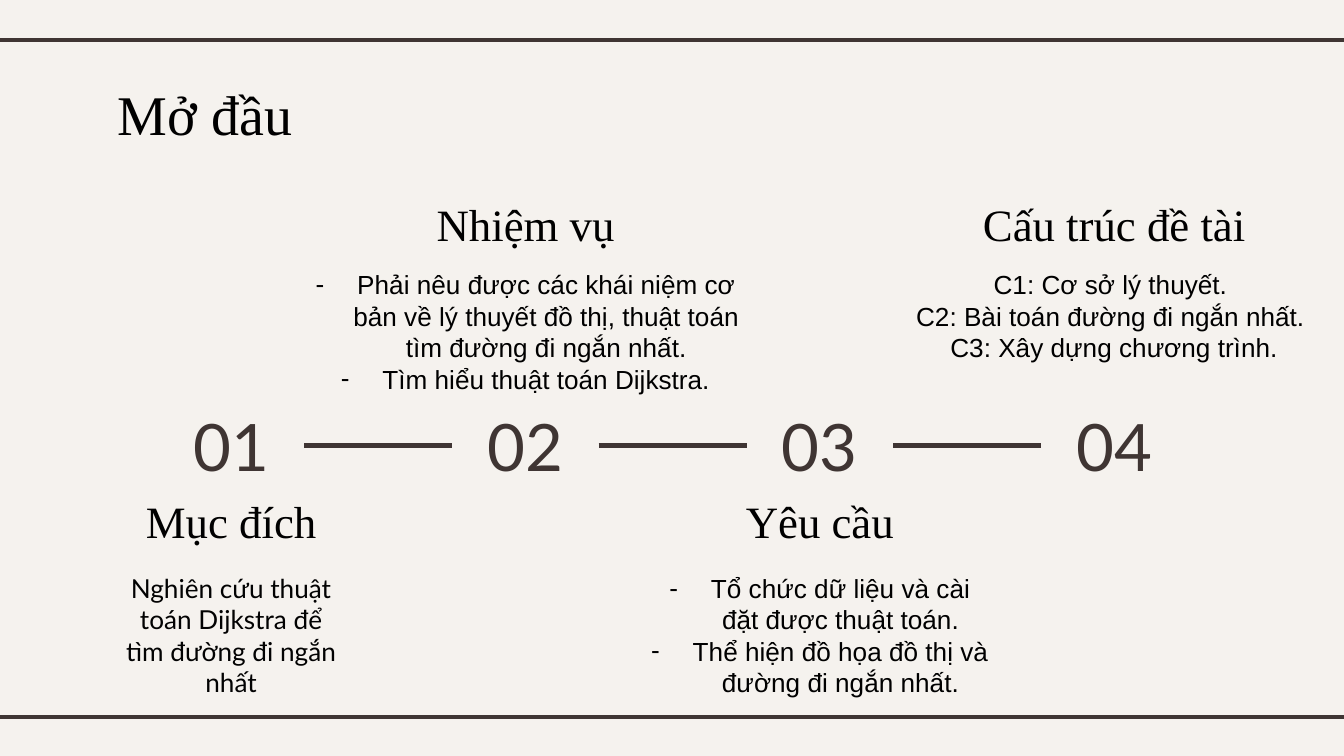
from lxml import etree
from pptx import Presentation
from pptx import util as u
from pptx.dml.color import RGBColor
from pptx.enum import shapes, text
from pptx.oxml.ns import qn

W = 10
H = W * 9 / 16
INK, BLACK, PAPER = "3F3533", "000000", "F5F2EE"
SERIF, SANS, LATO = "Times New Roman", "Arial", "Lato"
FIRST, STEP = 1.72, 2.19  # centre of the first column, distance between columns
NUMBER_W, NUMBER_TOP, NUMBER_H = 1.09, 2.95, 0.73
HEAD_H, BODY_H = 0.39, 0.63
UPPER, LOWER = (1.47, 1.9), (3.68, 4.16)  # tops of heading and body in each row

TOPICS = [
    dict(head="Mục đích", row=LOWER, head_w=1.88, body_w=1.88, font=LATO, color="020202",
         lines=["Nghiên cứu thuật toán Dijkstra để tìm đường đi ngắn nhất"]),
    dict(head="Nhiệm vụ", row=UPPER, head_w=1.88, body_w=3.39, bullet="-",
         lines=["Phải nêu được các khái niệm cơ bản về lý thuyết đồ thị, "
                "thuật toán tìm đường đi ngắn nhất.",
                "Tìm hiểu thuật toán Dijkstra."]),
    dict(head="Yêu cầu", row=LOWER, head_w=1.88, body_w=2.76, bullet="-",
         lines=["Tổ chức dữ liệu và cài đặt được thuật toán.",
                "Thể hiện đồ họa đồ thị và đường đi ngắn nhất."]),
    dict(head="Cấu trúc đề tài", row=UPPER, head_w=2.2, body_w=3.74,
         lines=["C1: Cơ sở lý thuyết. ",
                "C2: Bài toán đường đi ngắn nhất. ",
                "C3: Xây dựng chương trình."]),
]


def rgb(color):
    return RGBColor.from_string(color)


def set_bullet(p, char, font, color, indent=0.31):
    pPr = p._p.get_or_add_pPr()
    pPr.set("marL", str(u.Inches(indent)))
    pPr.set("indent", str(-u.Inches(indent)))
    fill = etree.SubElement(pPr, qn("a:buClr"))
    etree.SubElement(fill, qn("a:srgbClr")).set("val", color)
    etree.SubElement(pPr, qn("a:buFont")).set("typeface", font)
    etree.SubElement(pPr, qn("a:buChar")).set("char", char)


def add_text(s, box, lines, size, font, color=BLACK, align="CENTER", anchor="MIDDLE",
             bullet=None):
    sp = s.shapes.add_textbox(*map(u.Inches, box))
    tf = sp.text_frame
    frame = dict(word_wrap=True, vertical_anchor=getattr(text.MSO_ANCHOR, anchor))
    frame.update({f"margin_{side}": u.Inches(0.1) for side in ("left", "top", "right", "bottom")})
    for name, value in frame.items():
        setattr(tf, name, value)
    for i, line in enumerate(lines):
        p = tf.add_paragraph() if i else tf.paragraphs[0]
        p.alignment = getattr(text.PP_ALIGN, align)
        if bullet:
            set_bullet(p, bullet, font, color)
        r = p.add_run()
        r.text = line
        for name, value in dict(size=u.Pt(size), name=font).items():
            setattr(r.font, name, value)
        r.font.color.rgb = rgb(color)
    return sp


def add_line(s, x1=0, y1=0, x2=0, y2=0):
    line = s.shapes.add_connector(shapes.MSO_CONNECTOR.STRAIGHT,
                                  *map(u.Inches, (x1, y1, x2, y2)))
    line.line.color.rgb = rgb(INK)
    line.line.width = u.Pt(2.25)
    etree.SubElement(line._element.spPr, qn("a:effectLst"))
    return line


def add_frame(s):
    """Paper background with a rule near the top and bottom edges."""
    s.background.fill.solid()
    s.background.fill.fore_color.rgb = rgb(PAPER)
    for y in (0.3, H - 0.29):
        add_line(s, -0.08, y, W + 0.08, y)


def centred(column, top, width, height):
    return FIRST + column * STEP - width / 2, top, width, height


def add_timeline(s, count):
    numbers = [add_text(s, centred(i, NUMBER_TOP, NUMBER_W, NUMBER_H), [f"{i + 1:02}"],
                        35, LATO, INK) for i in range(count)]
    for left, right in zip(numbers, numbers[1:]):
        link = add_line(s)
        link.begin_connect(left, 3)
        link.end_connect(right, 1)


def add_topic(s, column, head, row, head_w, body_w, lines, font=SANS, color=BLACK, bullet=None):
    head_top, body_top = row
    add_text(s, centred(column, head_top, head_w, HEAD_H), [head], 24, SERIF)
    add_text(s, centred(column, body_top, body_w, BODY_H), lines, 14, font, color,
             anchor="TOP", bullet=bullet)


def main():
    prs = Presentation()
    prs.slide_width, prs.slide_height = u.Inches(W), u.Inches(H)
    s = prs.slides.add_slide(prs.slide_layouts[6])
    add_frame(s)
    add_text(s, (0.78, 0.49, 8.44, 0.63), ["Mở đầu"], 30, SERIF, align="LEFT", anchor="TOP")
    add_timeline(s, len(TOPICS))
    for column, topic in enumerate(TOPICS):
        add_topic(s, column, **topic)
    prs.save("out.pptx")


if __name__ == "__main__":
    main()
